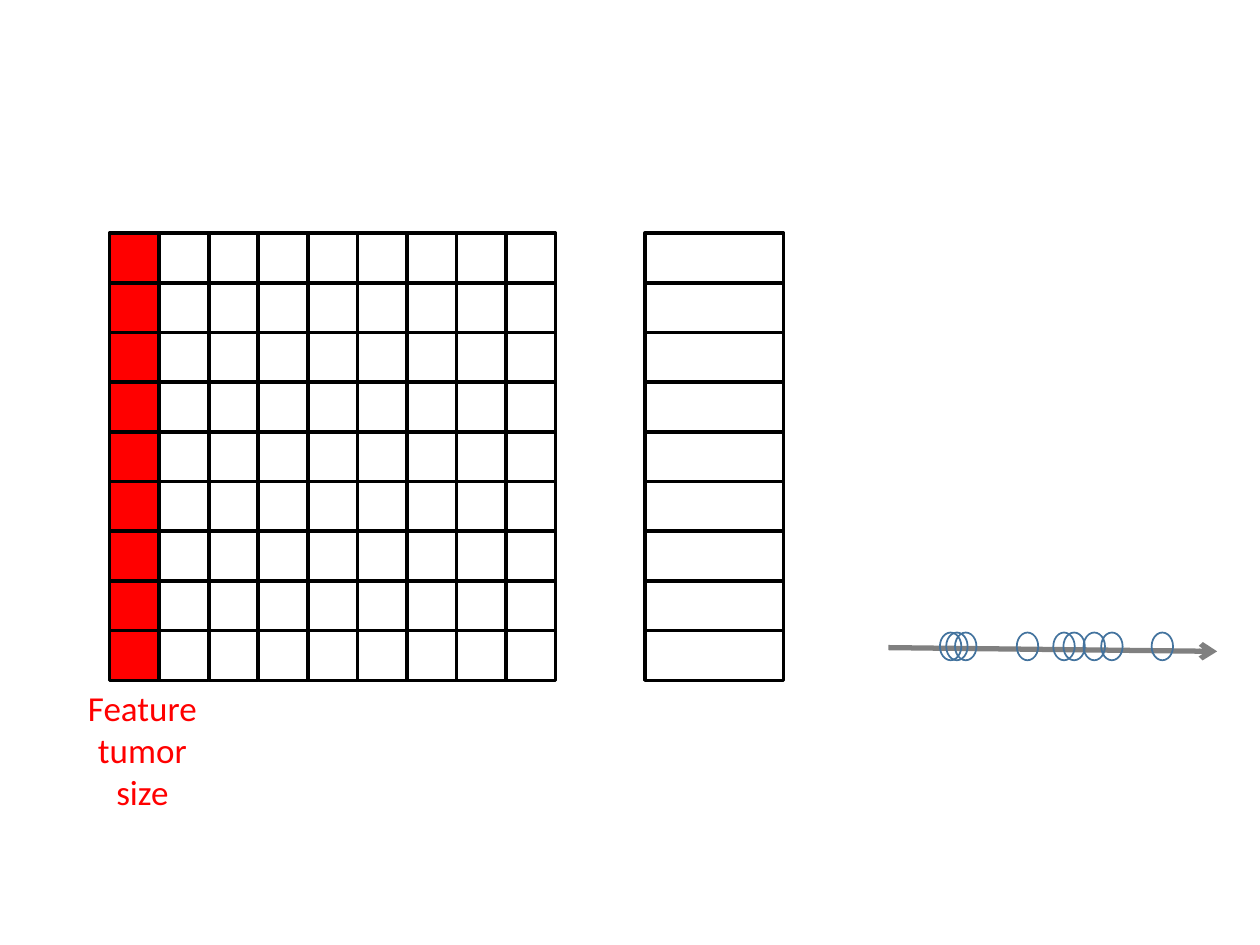
from lxml import etree
from pptx import Presentation
from pptx.dml.color import RGBColor
from pptx.enum import shapes, text
from pptx.oxml.ns import qn
from pptx.util import Inches, Pt

BLACK, RED, GRAY, BLUE = "000000", "FF0000", "808080", "43739E"
ROWS = 9
FEATURES = 9
SAMPLE_OFFSETS = [0.41, 1.31, 1.02, 1.55, 0.53, 1.39, 0.46, 2.09, 1.69]


def color(value):
    return RGBColor.from_string(value)


def add_outline(slide, kind, box, line, width, fill=None):
    shape = slide.shapes.add_shape(kind, *map(Inches, box))
    shape.shadow.inherit = False
    if fill:
        shape.fill.solid()
        shape.fill.fore_color.rgb = color(fill)
    else:
        shape.fill.background()
    shape.line.color.rgb = color(line)
    shape.line.width = Pt(width)


def add_grid(slide, box, rows, columns, first_column_fill=None):
    left, top, width, height = box
    cell_width, cell_height = width / columns, height / rows
    for row in range(rows):
        for column in range(columns):
            cell = (left + column * cell_width, top + row * cell_height,
                    cell_width, cell_height)
            add_outline(slide, shapes.MSO_SHAPE.RECTANGLE, cell, BLACK, 2,
                        None if column else first_column_fill)


def add_feature_label(slide, box):
    frame = slide.shapes.add_textbox(*map(Inches, box)).text_frame
    frame.word_wrap = True
    frame.auto_size = text.MSO_AUTO_SIZE.SHAPE_TO_FIT_TEXT
    paragraph = frame.paragraphs[0]
    paragraph.alignment = text.PP_ALIGN.CENTER
    run = paragraph.add_run()
    run.text = "Feature tumor size"
    run.font.name = "Calibri"
    run.font.size = Pt(20)
    run.font.color.rgb = color(RED)


def add_number_line(slide, box):
    """Draw a slightly sloping axis with one circle for each sample."""
    left, top, width, height = box
    axis = slide.shapes.add_connector(
        shapes.MSO_CONNECTOR.STRAIGHT, Inches(left), Inches(top + 0.12),
        Inches(left + width), Inches(top + 0.15))
    axis.line.color.rgb = color(GRAY)
    axis.line.width = Pt(3)
    etree.SubElement(axis.line._get_or_add_ln(), qn("a:tailEnd"), type="arrow")
    etree.SubElement(axis._element.spPr, qn("a:effectLst"))
    for offset in SAMPLE_OFFSETS:
        add_outline(slide, shapes.MSO_SHAPE.OVAL,
                    (left + offset, top, 0.17, height), BLUE, 1)


def main():
    presentation = Presentation()
    presentation.slide_width = Inches(10)
    presentation.slide_height = Inches(7.5)
    slide = presentation.slides.add_slide(presentation.slide_layouts[6])
    add_grid(slide, (0.87, 1.85, 3.54, 3.55), ROWS, FEATURES, RED)
    add_grid(slide, (5.12, 1.85, 1.1, 3.55), ROWS, 1)
    add_feature_label(slide, (0.52, 5.4, 1.22, 1.11))
    add_number_line(slide, (7.05, 5.02, 2.61, 0.22))
    presentation.save("out.pptx")


if __name__ == "__main__":
    main()
